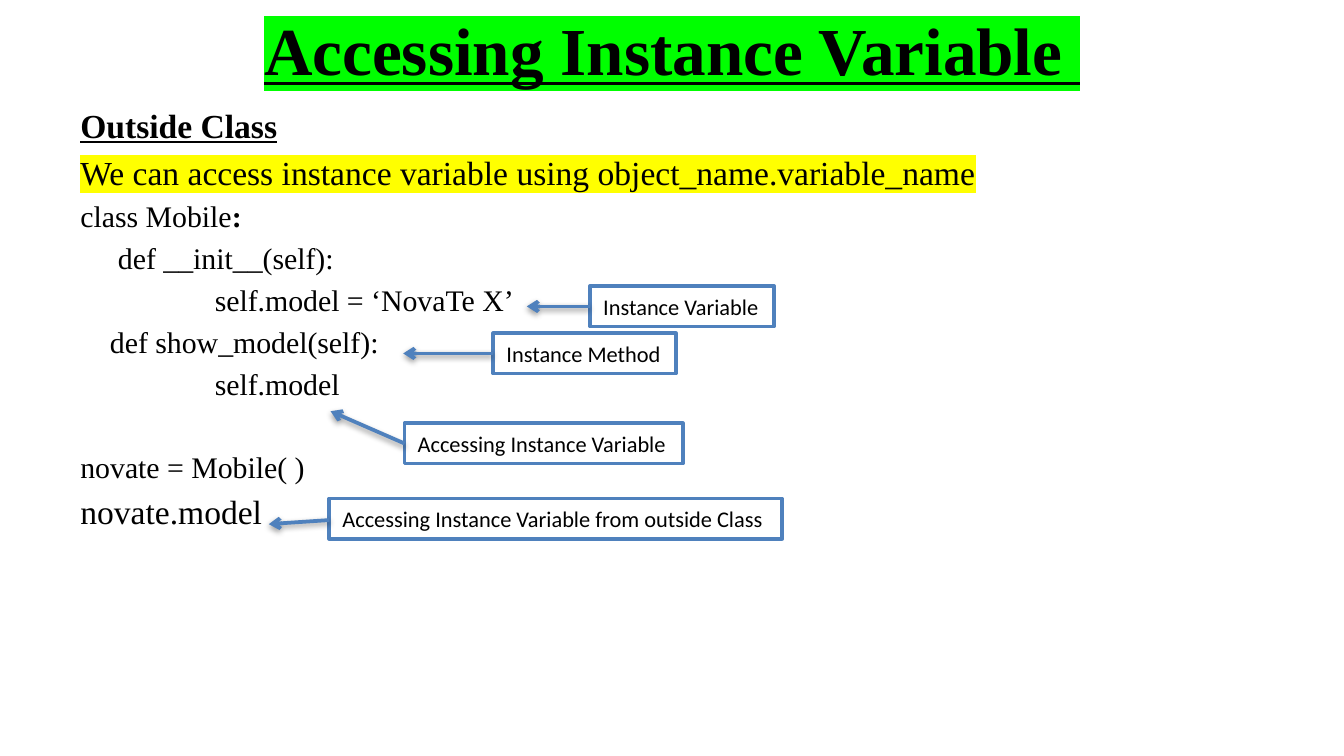
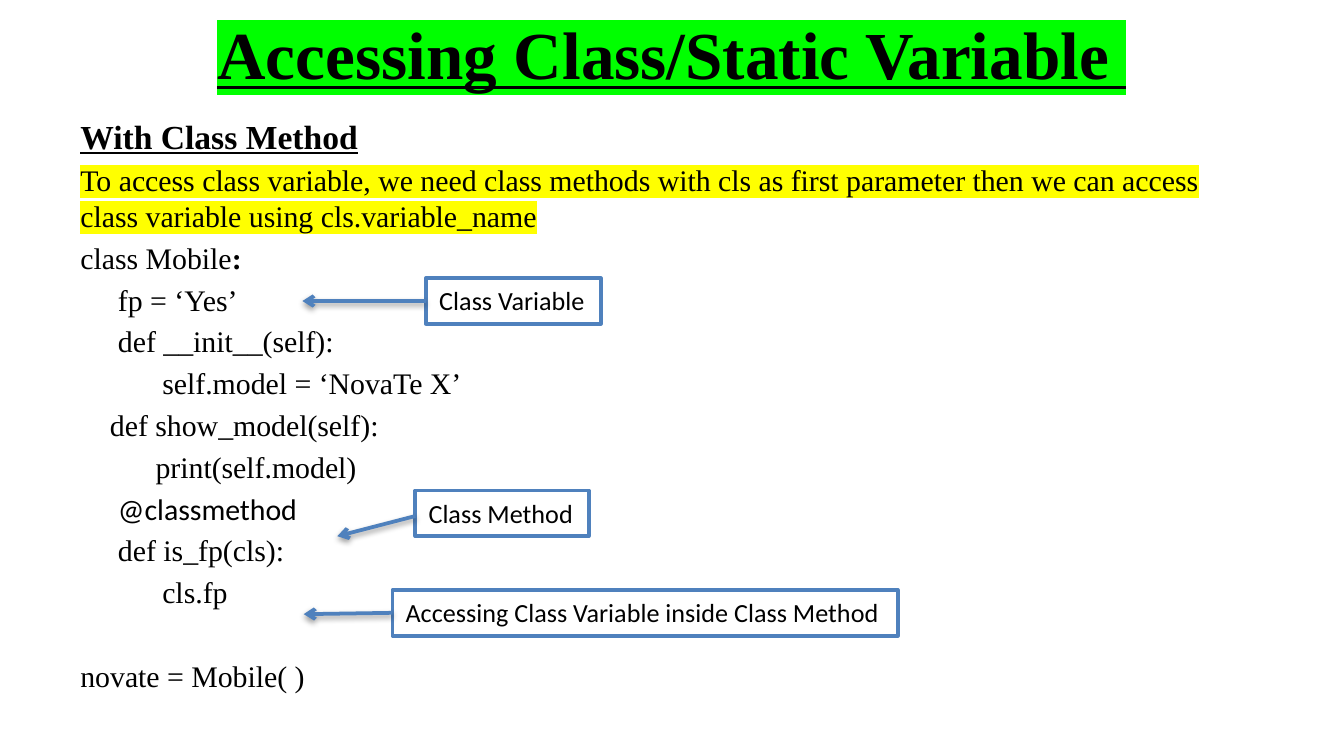
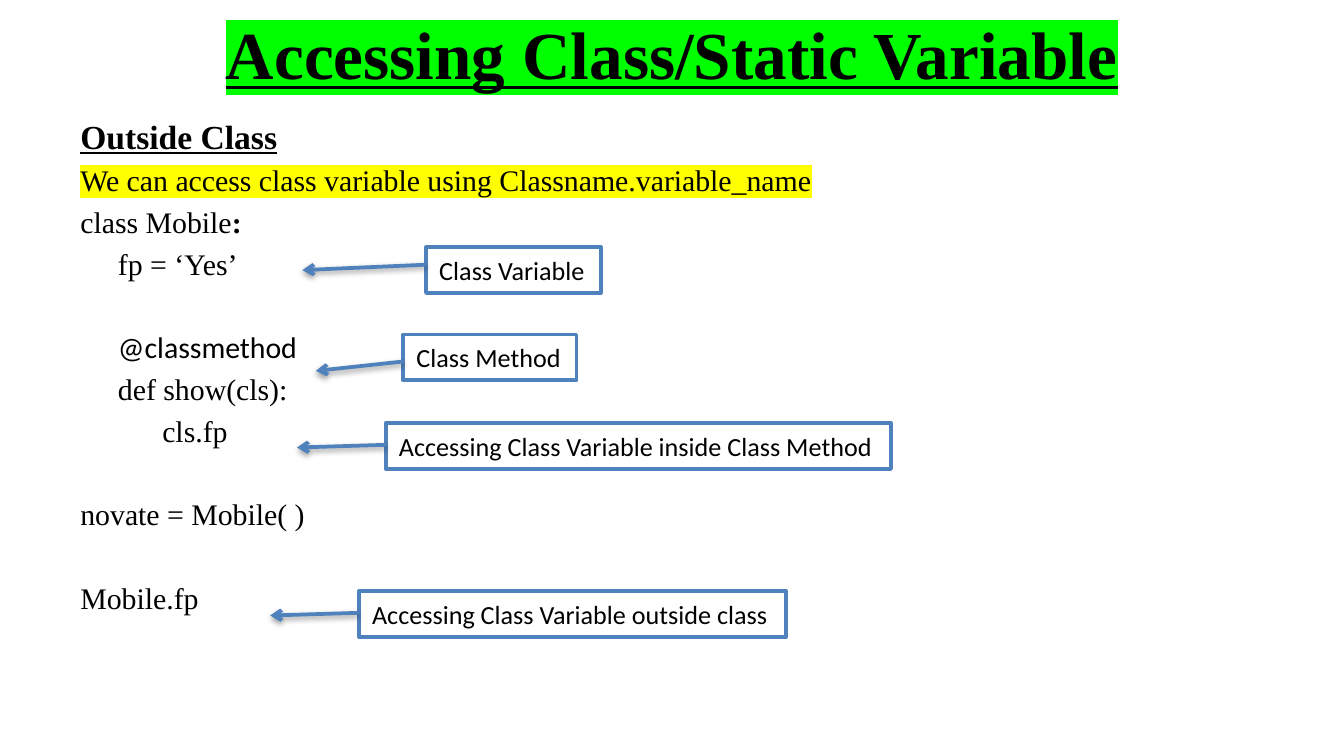
import dataclasses

import lxml.etree
import pptx
import pptx.dml.color
import pptx.enum.shapes
import pptx.enum.text
import pptx.oxml.ns
import pptx.util

Inches = pptx.util.Inches
Pt = pptx.util.Pt
RGB = pptx.dml.color.RGBColor
Fit = pptx.enum.text.MSO_AUTO_SIZE
qn = pptx.oxml.ns.qn

BLACK = RGB(0x00, 0x00, 0x00)
WHITE = RGB(0xFF, 0xFF, 0xFF)
BLUE = RGB(0x4F, 0x81, 0xBD)
GREEN = RGB(0x00, 0xFF, 0x00)
YELLOW = RGB(0xFF, 0xFF, 0x00)

SERIF = "Times New Roman"
SANS = "Calibri"

LEFT, WIDTH, TOP = 0.5, 9, -0.02
BASE = 5.4      # bottom edge of the body text
ROW = 22.4      # pitch of the code lines, in points
STEP = 0.28     # indent of a class member
DEEP = 0.61     # indent of a method body


@dataclasses.dataclass
class Line:
    """One paragraph of the body; skip counts the empty rows above it."""
    text: str
    indent: float = 0
    skip: int = 0
    size: int = 16
    face: str = SERIF
    head: bool = False
    mark: bool = False
    tail: str = ""


@dataclasses.dataclass
class Note:
    """A boxed label with an arrow from its left edge to a tip."""
    text: str
    left: float
    top: float
    width: float
    start: float
    tip: tuple[float, float]


@dataclasses.dataclass
class Page:
    """The content of one slide; split is where the body starts."""
    title: str
    lines: list[Line]
    notes: list[Note]
    split: float = 0.81
    tall: float = 0.83      # height of the title
    size: int = 14          # of the note text
    height: float = 0.34    # of the note boxes


def style(para, size: int, face: str, strong: bool = False) -> None:
    """Set the font of a paragraph; strong is bold and underlined."""
    font = para.font
    font.size, font.name = Pt(size), face
    font.bold = font.underline = strong
    font.color.rgb = BLACK


def paint(run, color: RGB) -> None:
    """Highlight a run."""
    mark = lxml.etree.SubElement(run._r.get_or_add_rPr(), qn("a:highlight"))
    lxml.etree.SubElement(mark, qn("a:srgbClr"), val=str(color))


def add_title(slide, page: Page) -> None:
    """Fill and place the title."""
    box = slide.shapes.title
    box.left, box.top = Inches(LEFT), Inches(TOP)
    box.width, box.height = Inches(WIDTH), Inches(page.tall)
    frame = box.text_frame
    frame.auto_size = Fit.NONE
    frame.vertical_anchor = pptx.enum.text.MSO_ANCHOR.MIDDLE
    para = frame.paragraphs[0]
    para.alignment = pptx.enum.text.PP_ALIGN.CENTER
    style(para, 36, SERIF, True)
    run = para.add_run()
    run.text = page.title
    paint(run, GREEN)


def add_body(slide, page: Page) -> None:
    """Write the body lines."""
    box = slide.shapes.add_textbox(Inches(LEFT), Inches(page.split),
                                   Inches(WIDTH), Inches(BASE - page.split))
    frame = box.text_frame
    frame.word_wrap = True
    for i, line in enumerate(page.lines):
        para = frame.add_paragraph() if i else frame.paragraphs[0]
        style(para, line.size, line.face, line.head)
        para.space_before = Pt(line.size / 5 + line.skip * ROW)
        if line.indent:
            para._p.get_or_add_pPr().set("marL", str(Inches(line.indent)))
        run = para.add_run()
        run.text = line.text
        if line.mark:
            paint(run, YELLOW)
        if line.tail:
            end = para.add_run()
            end.text = line.tail
            end.font.bold = True


def add_arrow(slide, note: Note) -> None:
    """Draw the shadowed arrow of a note."""
    x, y = note.tip
    arrow = slide.shapes.add_connector(
        pptx.enum.shapes.MSO_CONNECTOR.STRAIGHT,
        Inches(note.left), Inches(note.start), Inches(x), Inches(y))
    arrow.line.color.rgb = BLUE
    arrow.line.width = Pt(2)
    lxml.etree.SubElement(arrow.line._get_or_add_ln(), qn("a:tailEnd"),
                          type="arrow")
    group = lxml.etree.SubElement(arrow._element.spPr, qn("a:effectLst"))
    shade = lxml.etree.SubElement(group, qn("a:outerShdw"), blurRad="40000",
                                  dist="20000", dir="5400000", rotWithShape="0")
    color = lxml.etree.SubElement(shade, qn("a:srgbClr"), val=str(BLACK))
    lxml.etree.SubElement(color, qn("a:alpha"), val="38000")


def add_note(slide, note: Note, size: int, height: float) -> None:
    """Draw a label box and its arrow."""
    box = slide.shapes.add_shape(
        pptx.enum.shapes.MSO_SHAPE.RECTANGLE, Inches(note.left),
        Inches(note.top), Inches(note.width), Inches(height))
    box.shadow.inherit = False
    box.fill.solid()
    box.fill.fore_color.rgb = WHITE
    box.line.color.rgb = BLUE
    box.line.width = Pt(2)
    frame = box.text_frame
    frame.word_wrap = False
    frame.auto_size = Fit.SHAPE_TO_FIT_TEXT
    frame.vertical_anchor = pptx.enum.text.MSO_ANCHOR.TOP
    para = frame.paragraphs[0]
    para.alignment = pptx.enum.text.PP_ALIGN.LEFT
    style(para, size, SANS)
    para.add_run().text = note.text
    add_arrow(slide, note)


CLASS = Line("class Mobile", tail=":")
FLAG = Line("fp = ‘Yes’", STEP)
INIT = Line("def __init__(self):", STEP)
SHOW = Line("def show_model(self):", 0.22)
DECOR = Line("@classmethod", STEP, face=SANS)
READ = Line("cls.fp", DEEP)
MAKE = Line("novate = Mobile( )", skip=1)
MODEL = "self.model = ‘NovaTe X’"
INSIDE = "Accessing Class Variable inside Class Method"

PAGES = [
    Page("Accessing Instance Variable ", [
        Line("Outside Class", size=18, head=True),
        Line("We can access instance variable using "
             "object_name.variable_name", size=18, mark=True),
        CLASS, INIT, Line(MODEL, 1), SHOW, Line("self.model", 1), MAKE,
        Line("novate.model", size=18),
    ], [
        Note("Instance Variable", 4.39, 2.13, 1.37, 2.28, (3.92, 2.28)),
        Note("Instance Method", 3.67, 2.48, 1.36, 2.63, (3, 2.63)),
        Note("Accessing Instance Variable", 3.01, 3.15, 2.07, 3.3,
             (2.46, 3.06)),
        Note("Accessing Instance Variable from outside Class", 2.45, 3.71,
             3.37, 3.87, (2, 3.9)),
    ], split=0.73, tall=0.77, size=12, height=0.3),
    Page("Accessing Class/Static Variable ", [
        Line("With Class Method", size=18, head=True),
        Line("To access class variable, we need class methods with cls as "
             "first parameter then we can access class variable using "
             "cls.variable_name", mark=True),
        CLASS, FLAG, INIT, Line(MODEL, DEEP), SHOW,
        Line("print(self.model)", 0.56), DECOR,
        Line("def is_fp(cls):", STEP), READ, MAKE,
    ], [
        Note("Class Variable", 3.17, 2.07, 1.3, 2.24, (2.25, 2.24)),
        Note("Class Method", 3.09, 3.65, 1.29, 3.84, (2.51, 3.99)),
        Note(INSIDE, 2.92, 4.39, 3.76, 4.56, (2.26, 4.57)),
    ]),
    Page("Accessing Class/Static Variable", [
        Line("Outside Class", size=18, head=True),
        Line("We can access class variable using Classname.variable_name",
             mark=True),
        CLASS, FLAG, dataclasses.replace(DECOR, skip=1),
        Line("def show(cls):", STEP), READ, MAKE, Line("Mobile.fp", skip=1),
    ], [
        Note("Class Variable", 3.17, 1.84, 1.3, 1.97, (2.25, 2.01)),
        Note("Class Method", 3, 2.49, 1.29, 2.69, (2.35, 2.76)),
        Note(INSIDE, 2.87, 3.15, 3.76, 3.31, (2.21, 3.33)),
        Note("Accessing Class Variable outside class", 2.67, 4.4, 3.18, 4.56,
             (2.01, 4.58)),
    ]),
]


def main() -> None:
    """Build and save the slides."""
    deck = pptx.Presentation()
    deck.slide_width, deck.slide_height = Inches(10), Inches(10 * 9 / 16)
    layout = deck.slide_layouts.get_by_name("Title Only")
    for page in PAGES:
        slide = deck.slides.add_slide(layout)
        add_title(slide, page)
        add_body(slide, page)
        for note in page.notes:
            add_note(slide, note, page.size, page.height)
    deck.save("out.pptx")


main()
